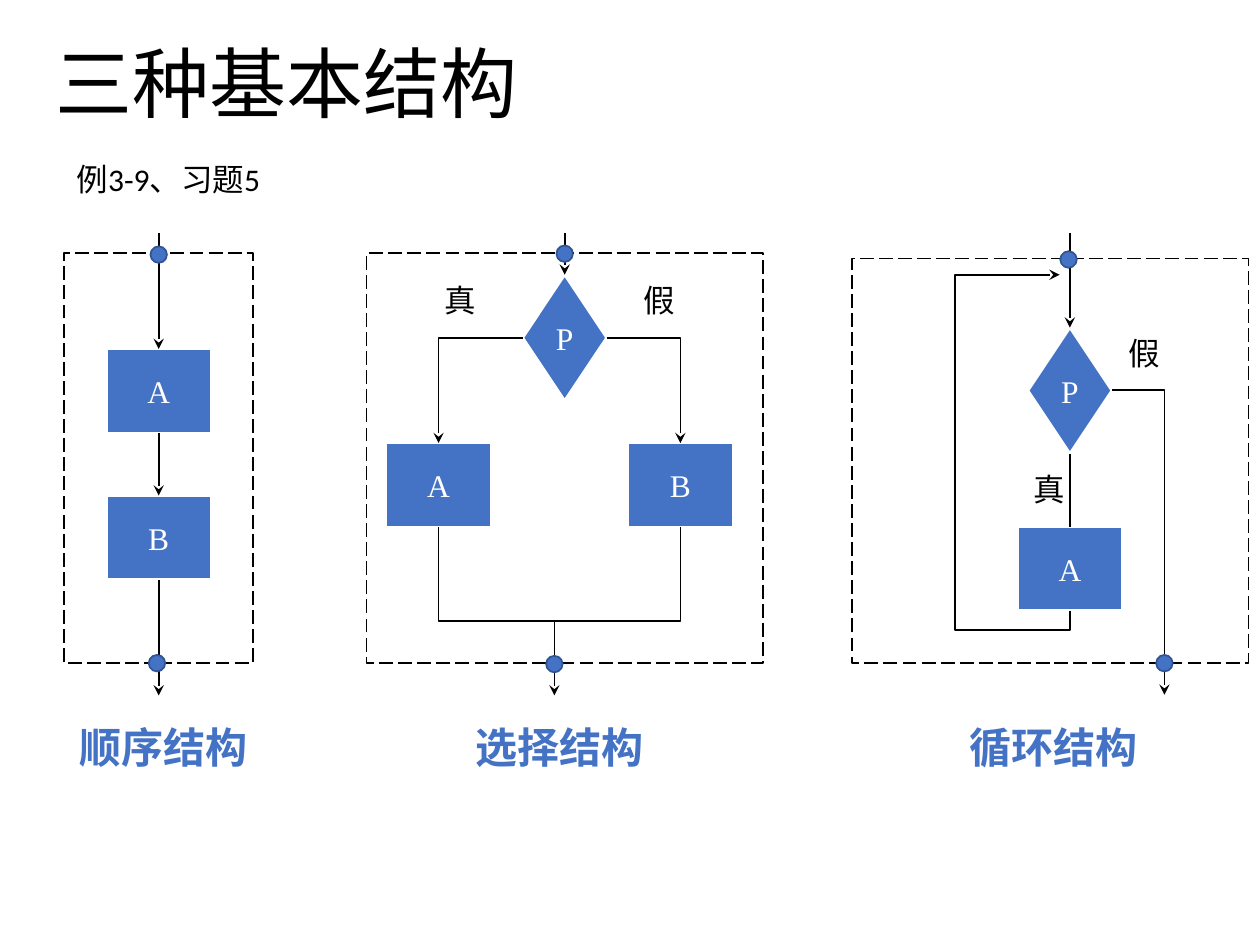
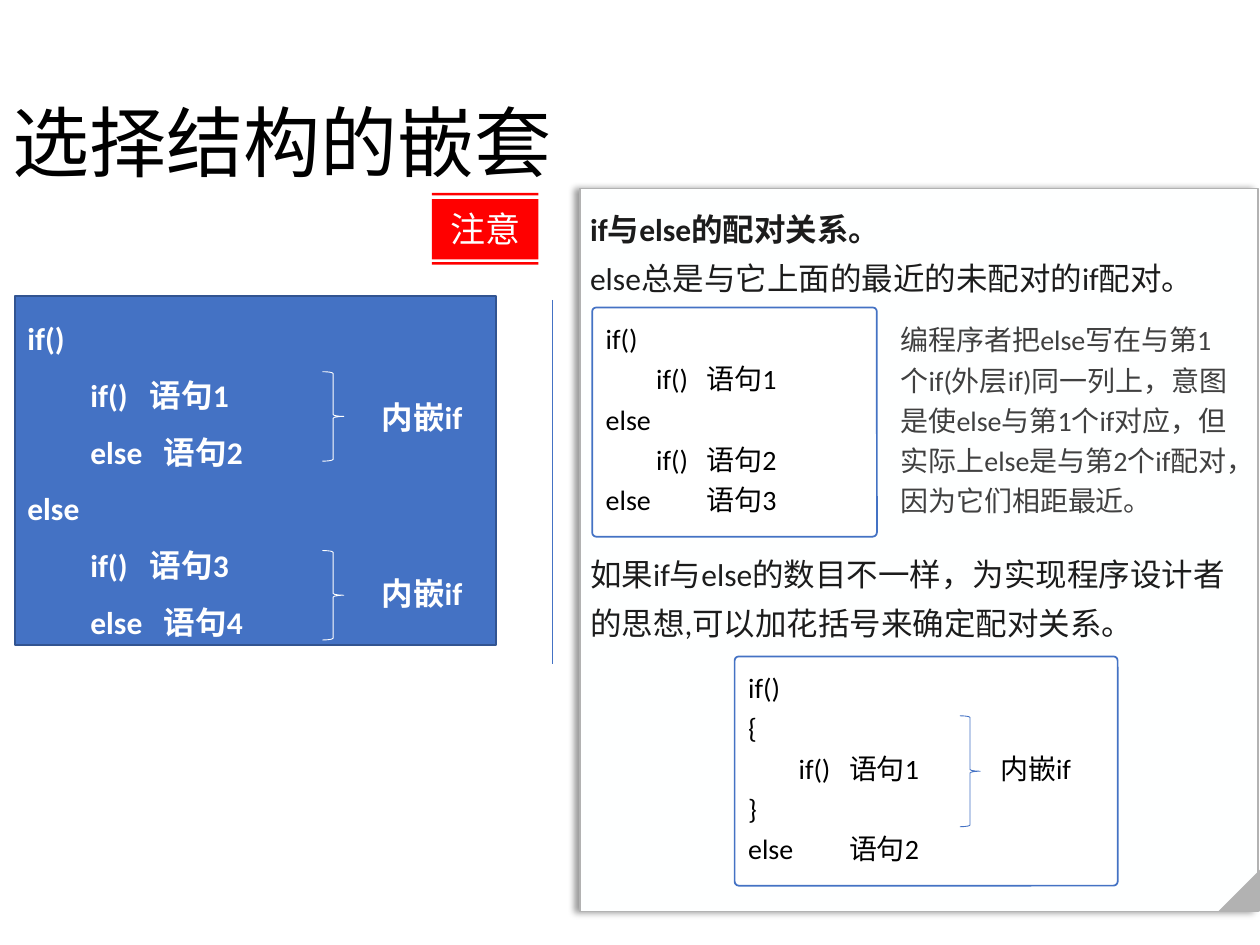
"""Build two slides on control flow: the three basic structures and nested selection."""
from lxml.etree import SubElement
from pptx import Presentation
from pptx.dml.color import RGBColor
from pptx.enum.dml import MSO_LINE
from pptx.enum.shapes import MSO_CONNECTOR, MSO_SHAPE
from pptx.enum.text import MSO_ANCHOR, MSO_AUTO_SIZE, PP_ALIGN
from pptx.oxml.ns import qn
from pptx.shapes.connector import Connector
from pptx.util import Pt

BLUE, DARK_BLUE, RED = "4472C4", "325491", "FF0000"
BLACK, INK, BODY_GREY, GREY = "000000", "1C1C1C", "404040", "B2B2B2"
WHITE, PAPER = "FFFFFF", "FEFFFF"
SERIF = "Times New Roman"


def paint(shape, fill=None, line=None, width=1, dash=None, arrow=False):
    """Set fill, outline and arrowhead, and remove the theme shadow."""
    if line:
        shape.line.color.rgb = RGBColor.from_string(line)
        shape.line.width = Pt(width)
        if dash:
            shape.line.dash_style = dash
    else:
        shape.line.fill.background()
    properties = shape.element.spPr
    if arrow:
        SubElement(properties.find(qn("a:ln")), qn("a:tailEnd"), type="stealth")
    if isinstance(shape, Connector):
        SubElement(properties, qn("a:effectLst"))
        return
    shape.shadow.inherit = False
    if fill:
        shape.fill.solid()
        shape.fill.fore_color.rgb = RGBColor.from_string(fill)
    else:
        shape.fill.background()


def write(shape, text, size, color, font="Calibri", bold=False, align=PP_ALIGN.LEFT,
          anchor=MSO_ANCHOR.TOP, spacing=1.0, wrap=True, tabs=()):
    """Fill a shape with text in one style."""
    frame = shape.text_frame
    frame.text = text
    frame.word_wrap = wrap
    frame.auto_size = MSO_AUTO_SIZE.NONE
    frame.vertical_anchor = anchor
    for paragraph in frame.paragraphs:
        paragraph.alignment = align
        paragraph.line_spacing = spacing
        if tabs:
            stops = SubElement(paragraph._p.get_or_add_pPr(), qn("a:tabLst"))
            for stop in tabs:
                SubElement(stops, qn("a:tab"), pos=str(Pt(stop)), algn="l")
        for run in paragraph.runs:
            run.font.size = Pt(size)
            run.font.name = font
            run.font.bold = bold
            run.font.color.rgb = RGBColor.from_string(color)


deck = Presentation()
deck.slide_width, deck.slide_height = Pt(720), Pt(540)
slides = []
for heading, bounds in [
    ("三种基本结构", (24.5, 8.6, 620.6, 82.8)),
    ("选择结构的嵌套", (0, 31.7, 466.6, 104.4)),
]:
    slide = deck.slides.add_slide(deck.slide_layouts[5])
    title = slide.shapes.title
    title.left, title.top, title.width, title.height = map(Pt, bounds)
    write(title, heading, 44, BLACK, anchor=MSO_ANCHOR.MIDDLE, spacing=0.9)
    slides.append(slide.shapes)
structures, nesting = slides

BLOCK, DECISION = (MSO_SHAPE.RECTANGLE, 60, 48), (MSO_SHAPE.DIAMOND, 48, 72)
SEQ_X, CHOICE_X, LOOP_X = 90.7, 322.7, 611.4
YES_X, NO_X, JOIN_X = 250.6, 388.8, 316.8
BACK_X, EXIT_X = 545.8, 665.4
ENTRY_Y, EXIT_Y = 133.2, 397.4

for (kind, width, height), letter, center, top in [
    (BLOCK, "A", SEQ_X, 199.4), (BLOCK, "B", SEQ_X, 283.2),
    (DECISION, "P", CHOICE_X, 157), (BLOCK, "A", YES_X, 253.2), (BLOCK, "B", NO_X, 253.2),
    (DECISION, "P", LOOP_X, 187.2), (BLOCK, "A", LOOP_X, 301),
]:
    step = structures.add_shape(kind, Pt(center - width / 2), Pt(top), Pt(width), Pt(height))
    paint(step, BLUE, WHITE, 1.5)
    write(step, letter, 18, WHITE, SERIF, align=PP_ALIGN.CENTER,
          anchor=MSO_ANCHOR.MIDDLE, wrap=False)

for arrow, route in [
    (True, [(SEQ_X, ENTRY_Y), (SEQ_X, 199.4)]),
    (True, [(SEQ_X, 247.3), (SEQ_X, 283.2)]),
    (True, [(SEQ_X, 331.2), (SEQ_X, EXIT_Y)]),
    (True, [(CHOICE_X, ENTRY_Y), (CHOICE_X, 157)]),
    (True, [(CHOICE_X - 24, 193), (YES_X, 193), (YES_X, 253.2)]),
    (True, [(CHOICE_X + 24, 193), (NO_X, 193), (NO_X, 253.2)]),
    (False, [(YES_X, 301), (YES_X, 355), (NO_X, 355), (NO_X, 301)]),
    (True, [(JOIN_X, 355), (JOIN_X, EXIT_Y)]),
    (True, [(LOOP_X, ENTRY_Y), (LOOP_X, 187.2)]),
    (False, [(LOOP_X, 259.2), (LOOP_X, 301)]),
    (True, [(LOOP_X + 24, 223), (EXIT_X, 223), (EXIT_X, 397)]),
    (True, [(LOOP_X, 349), (LOOP_X, 360), (BACK_X, 360), (BACK_X, 157), (605.5, 157)]),
]:
    points = [(Pt(x), Pt(y)) for x, y in route]
    if len(points) == 2:
        flow = structures.add_connector(MSO_CONNECTOR.STRAIGHT, *points[0], *points[1])
    else:
        outline = structures.build_freeform(*points[0])
        outline.add_line_segments(points[1:], close=False)
        flow = outline.convert_to_shape()
    paint(flow, line=BLACK, arrow=arrow)

for left, top, width, height in [
    (36.5, 144.7, 108, 234.3), (209.4, 144.7, 226.8, 234.3), (486.7, 147.8, 226.8, 231.2),
]:
    border = structures.add_shape(MSO_SHAPE.RECTANGLE, Pt(left), Pt(top), Pt(width), Pt(height))
    paint(border, line=BLACK, dash=MSO_LINE.LONG_DASH)

for x, y in [(90.7, 145.5), (89.7, 379), (CHOICE_X, 145), (JOIN_X, 379.5),
             (610.6, 148.3), (EXIT_X, 379)]:
    port = structures.add_shape(MSO_SHAPE.FLOWCHART_CONNECTOR,
                                Pt(x - 4.7), Pt(y - 4.7), Pt(9.4), Pt(9.4))
    paint(port, BLUE, DARK_BLUE)

for branch, left, top in [("真", 244.8, 157), ("假", 358.6, 157),
                          ("假", 635.8, 187.2), ("真", 581.8, 265)]:
    label = structures.add_textbox(Pt(left), Pt(top), Pt(36), Pt(28.8))
    write(label, branch, 18, BLACK, SERIF, align=PP_ALIGN.CENTER)

for name, left in [("顺序结构", 24.2), ("选择结构", 250.6), ("循环结构", 532.8)]:
    caption = structures.add_textbox(Pt(left), Pt(409), Pt(138.2), Pt(36.7))
    write(caption, name, 24, BLUE, "Arial", bold=True, align=PP_ALIGN.CENTER)

examples = structures.add_textbox(Pt(36.7), Pt(87.8), Pt(360), Pt(28.8))
write(examples, "例3-9、习题5", 18, BLACK)

syntax = nesting.add_shape(MSO_SHAPE.RECTANGLE, Pt(8.6), Pt(169.2), Pt(275), Pt(199.4))
paint(syntax, BLUE, DARK_BLUE)
write(syntax, "if()\n\tif()\t语句1\n\telse\t语句2\nelse\n\tif()\t语句3\n\telse\t语句4", 18, WHITE,
      bold=True, anchor=MSO_ANCHOR.MIDDLE, spacing=1.5)
for line in syntax.text_frame.paragraphs:
    stops = SubElement(line._p.get_or_add_pPr(), qn("a:tabLst"))
    for stop in (36, 70 if "if" in line.text else 78):
        SubElement(stops, qn("a:tab"), pos=str(Pt(stop)), algn="l")

for label_top in (223.9, 324.7):
    inner = nesting.add_textbox(Pt(211), Pt(label_top), Pt(80), Pt(28.8))
    write(inner, "内嵌if", 18, WHITE, bold=True)

bars = nesting.build_freeform(Pt(246.8), Pt(149.8))
for index, (top, bottom) in enumerate([(149.8, 151.2), (113.8, 148.3), (110.2, 111.6)]):
    if index:
        bars.move_to(Pt(246.8), Pt(top))
    bars.add_line_segments([(Pt(307.7), Pt(top)), (Pt(307.7), Pt(bottom)),
                            (Pt(246.8), Pt(bottom))], close=True)
notice = bars.convert_to_shape()
paint(notice, RED)
write(notice, "注意", 20, PAPER, align=PP_ALIGN.CENTER, anchor=MSO_ANCHOR.MIDDLE)

panel = nesting.add_shape(MSO_SHAPE.RECTANGLE, Pt(331.4), Pt(107.9), Pt(387.4), Pt(413))
paint(panel, PAPER, GREY, 0.75)
shadow = SubElement(panel.element.spPr.find(qn("a:effectLst")), qn("a:outerShdw"),
                    blurRad=str(Pt(4)), dist=str(Pt(3)), dir="10800000")
shade = SubElement(shadow, qn("a:srgbClr"), val=BLACK)
SubElement(shade, qn("a:alpha"), val="40000")
write(panel, "if与else的配对关系。\nelse总是与它上面的最近的未配对的if配对。\n"
      "如果if与else的数目不一样，为实现程序设计者的思想,可以加花括号来确定配对关系。",
      18, INK, spacing=1.3)
rules = panel.text_frame
rules.margin_left = rules.margin_right = rules.margin_top = rules.margin_bottom = Pt(5.8)
rules.paragraphs[0].runs[0].font.bold = True
rules.paragraphs[2].space_before = Pt(141)

corner = nesting.add_shape(MSO_SHAPE.RIGHT_TRIANGLE, Pt(696.2), Pt(497), Pt(23.8), Pt(23.8))
corner.rotation = 270
paint(corner, GREY)

divider = nesting.add_connector(MSO_CONNECTOR.STRAIGHT, Pt(315.5), Pt(171.4), Pt(315.5), Pt(379.4))
paint(divider, line=BLUE, width=0.5)

for code, left, top, width in [
    ("if()\n\tif()\t语句1\nelse\n\tif()\t语句2\nelse\t\t语句3", 338.4, 175.7, 162.7),
    ("if()\n{\n\tif()\t语句1\t\t内嵌if\n}\nelse\t\t语句2", 419.8, 375.1, 218.9),
]:
    listing = nesting.add_shape(MSO_SHAPE.ROUNDED_RECTANGLE,
                                Pt(left), Pt(top), Pt(width), Pt(131))
    listing.adjustments[0] = 0.018
    paint(listing, WHITE, BLUE)
    write(listing, code, 16, BLACK, spacing=1.2, tabs=[28.8 * n for n in range(1, 6)])

remark = nesting.add_textbox(Pt(507.6), Pt(177.1), Pt(205.9), Pt(122.4))
write(remark, "编程序者把else写在与第1个if(外层if)同一列上，意图是使else与第1个if对应，"
      "但实际上else是与第2个if配对，因为它们相距最近。", 16, BODY_GREY, spacing=1.2)

for left, top, width, height, color in [
    (184.3, 212.4, 12.2, 51.1, WHITE), (184.3, 314.6, 12.2, 51.1, WHITE),
    (548.6, 409, 11.5, 63.4, BLUE),
]:
    brace = nesting.add_shape(MSO_SHAPE.RIGHT_BRACE, Pt(left), Pt(top), Pt(width), Pt(height))
    paint(brace, line=color, width=0.5)

deck.save("out.pptx")
